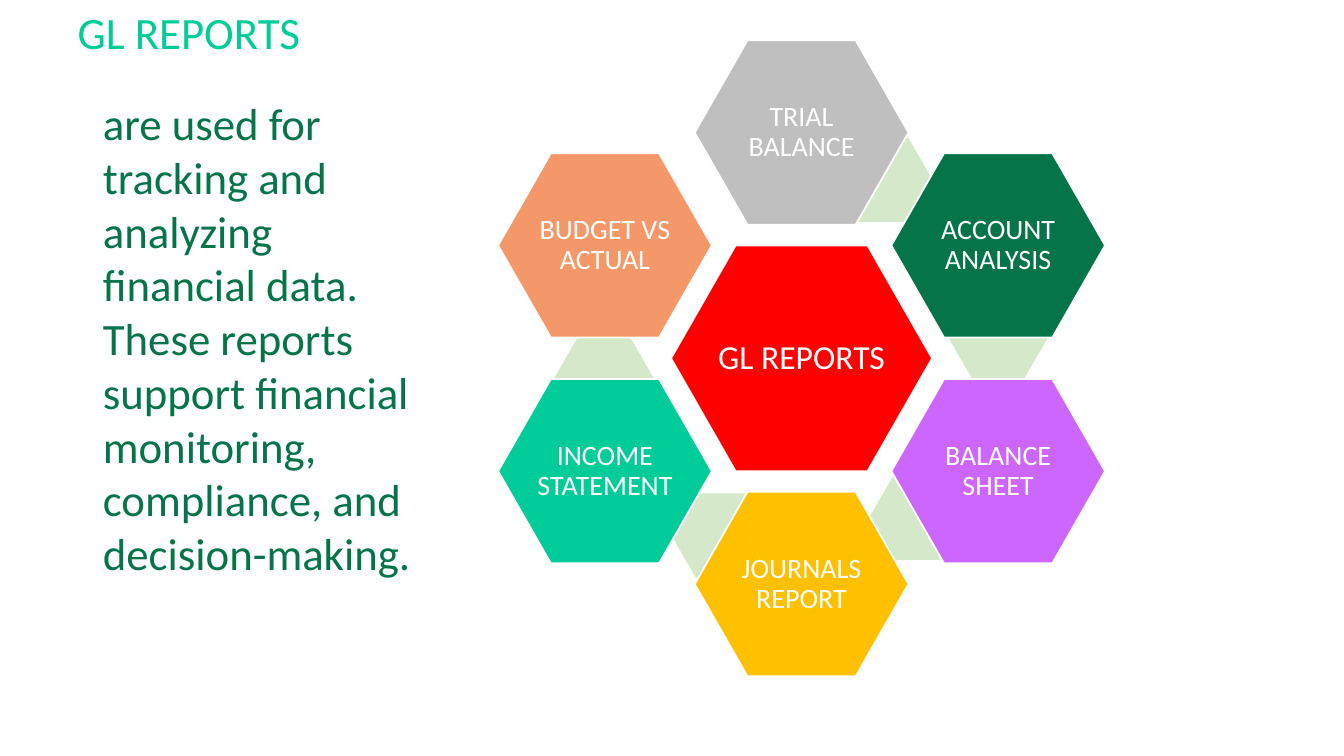
from pptx import Presentation
from pptx.dml.color import RGBColor
from pptx.enum.shapes import MSO_SHAPE
from pptx.enum.text import MSO_ANCHOR, MSO_AUTO_SIZE, PP_ALIGN
from pptx.util import Inches, Pt

HEXAGON = MSO_SHAPE.HEXAGON
TOP, MIDDLE = MSO_ANCHOR.TOP, MSO_ANCHOR.MIDDLE
LEFT, CENTER = PP_ALIGN.LEFT, PP_ALIGN.CENTER
GROW = MSO_AUTO_SIZE.SHAPE_TO_FIT_TEXT

WHITE = RGBColor(0xFF, 0xFF, 0xFF)
RED = RGBColor(0xFF, 0x00, 0x00)
GRAY = RGBColor(0xBF, 0xBF, 0xBF)
GREEN = RGBColor(0x06, 0x74, 0x49)
PURPLE = RGBColor(0xCC, 0x66, 0xFF)
GOLD = RGBColor(0xFF, 0xC0, 0x00)
MINT = RGBColor(0x00, 0xCC, 0x99)
ORANGE = RGBColor(0xF5, 0x98, 0x69)
PALE = RGBColor(0xD5, 0xE8, 0xCA)

# Clockwise from the top: label, fill, column and row step from the
# centre, and the offset of the pale accent behind the cell.
REPORTS = [
    ("TRIAL BALANCE", GRAY, 0, -2, (0.81, -1.77)),
    ("ACCOUNT ANALYSIS", GREEN, 1, -1, (1.95, -0.2)),
    ("BALANCE SHEET", PURPLE, 1, 1, (1.16, 1.58)),
    ("JOURNALS REPORT", GOLD, 0, 2, (-0.8, 1.76)),
    ("INCOME STATEMENT", MINT, -1, 1, (-1.96, 0.19)),
    ("BUDGET VS ACTUAL", ORANGE, -1, -1, None),
]


def add_run(para, text, size, color):
    run = para.add_run()
    run.text = text
    run.font.name = "Calibri"
    run.font.size = Pt(size)
    run.font.color.rgb = color


def fill_holder(holder, box, text, color):
    """Move a placeholder to the box and set its one paragraph."""
    holder.left, holder.top, holder.width, holder.height = map(Inches, box)
    frame = holder.text_frame
    frame.word_wrap = True
    frame.auto_size = GROW
    frame.vertical_anchor = TOP
    para = frame.paragraphs[0]
    props = para._p.get_or_add_pPr()
    props.set("marL", "0")
    props.set("indent", "0")
    props.insert_element_before(props.makeelement(
        "{http://schemas.openxmlformats.org/drawingml/2006/main}buNone"),
        "a:tabLst", "a:defRPr", "a:extLst")
    para.alignment = LEFT
    para.space_before = Pt(0)
    add_run(para, text, 32, color)


def add_hex(slide, mid_x, mid_y, width, height, fill, adj):
    """Draw a hexagon centred on the given point."""
    shape = slide.shapes.add_shape(
        HEXAGON, Inches(mid_x - width / 2), Inches(mid_y - height / 2),
        Inches(width), Inches(height))
    shape.adjustments[0] = adj
    shape.shadow.inherit = False
    shape.fill.solid()
    shape.fill.fore_color.rgb = fill
    shape.line.fill.background()
    return shape


def add_cell(slide, mid_x, mid_y, width, height, fill, text, size):
    """Draw a white-edged hexagon with a label."""
    shape = add_hex(slide, mid_x, mid_y, width, height, fill, 0.286)
    shape.line.color.rgb = WHITE
    shape.line.width = Pt(1.25)
    frame = shape.text_frame
    frame.word_wrap = True
    frame.vertical_anchor = MIDDLE
    frame.margin_left = frame.margin_right = Inches(0.03)
    frame.margin_top = frame.margin_bottom = Inches(0.03)
    para = frame.paragraphs[0]
    para.alignment = CENTER
    para.line_spacing = 0.9
    add_run(para, text, size, WHITE)


def add_ring(slide, left, top, width, height):
    """Place the centre cell and the six reports around it in the box."""
    cell_w, cell_h = 2.12, 1.83
    mid_x, mid_y = left + width / 2, top + height / 2
    step_x, step_y = (width - cell_w) / 2, (height - cell_h) / 4
    add_cell(slide, mid_x, mid_y, 2.59, 2.24, RED, "GL REPORTS", 24)
    for text, fill, col, row, accent in REPORTS:
        if accent:
            add_hex(slide, mid_x + accent[0], mid_y + accent[1],
                    0.98, 0.84, PALE, 0.289)
        add_cell(slide, mid_x + col * step_x, mid_y + row * step_y,
                 cell_w, cell_h, fill, text, 20)


def main():
    deck = Presentation()
    deck.slide_width, deck.slide_height = Inches(13.33), Inches(7.5)
    slide = deck.slides.add_slide(deck.slide_layouts[1])
    fill_holder(slide.shapes.title, (0.67, 0, 6.4, 1.18), "GL REPORTS", MINT)
    add_ring(slide, 4.94, 0.4, 6.02, 6.31)
    fill_holder(
        slide.placeholders[1], (0.92, 0.9, 3.46, 4.95),
        "are used for tracking and analyzing financial data. These reports "
        "support financial monitoring, compliance, and decision-making.",
        GREEN)
    deck.save("out.pptx")


if __name__ == "__main__":
    main()
